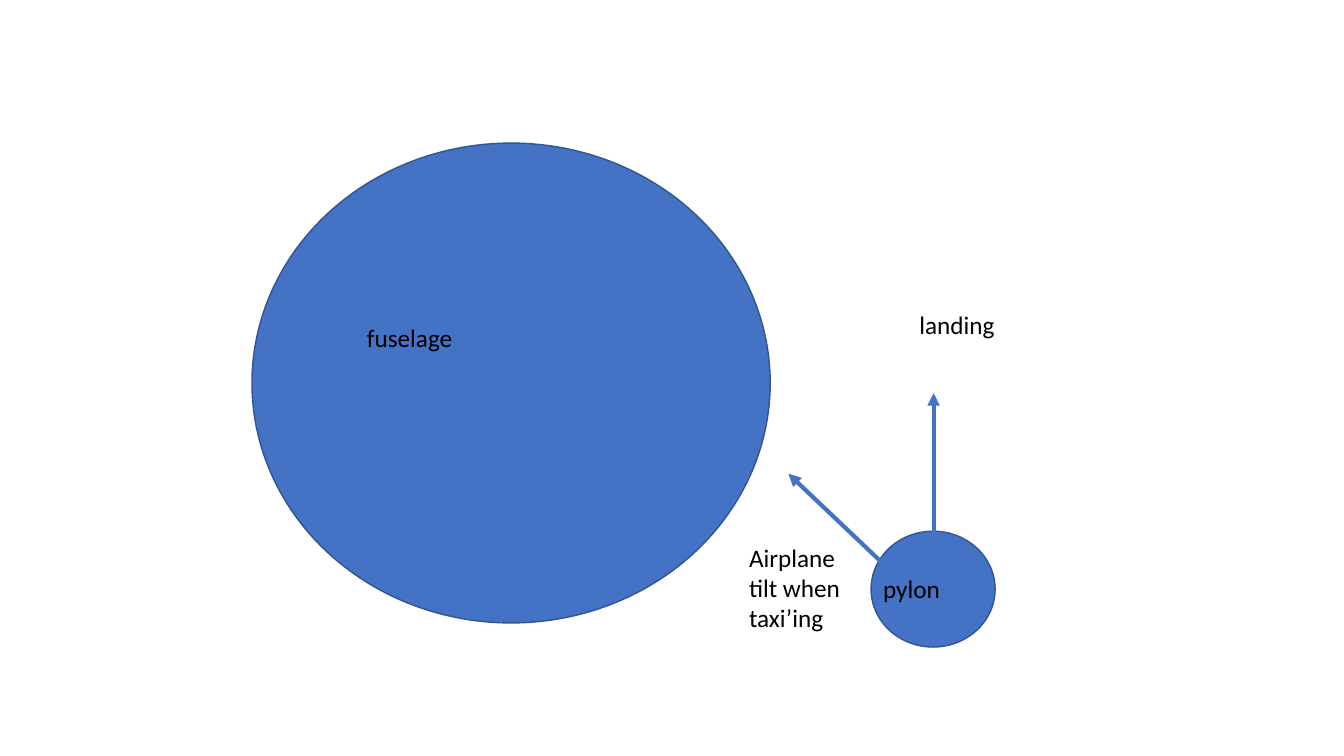
from lxml.etree import SubElement
from pptx import Presentation
from pptx.dml.color import RGBColor
from pptx.enum.shapes import MSO_CONNECTOR, MSO_SHAPE
from pptx.enum.text import MSO_AUTO_SIZE
from pptx.oxml.ns import qn
from pptx.util import Inches, Pt

BLUE, DARK_BLUE, BLACK = "4472C4", "325491", "000000"

presentation = Presentation()
presentation.slide_width = Inches(13.33)
presentation.slide_height = Inches(7.5)
slide = presentation.slides.add_slide(presentation.slide_layouts[6])
shapes = slide.shapes

# One column and one row are a hundredth of the slide's width and height.
column = presentation.slide_width / 100
row = presentation.slide_height / 100


def grid(*values):
    """Turn alternating columns and rows into lengths."""
    return [round(value * (row if index % 2 else column))
            for index, value in enumerate(values)]


def add_label(text, position, size=18, color=BLACK, font="Calibri", wrap=True):
    box = shapes.add_textbox(*grid(*position))
    frame = box.text_frame
    frame.word_wrap = wrap
    frame.auto_size = MSO_AUTO_SIZE.SHAPE_TO_FIT_TEXT
    run = frame.paragraphs[0].add_run()
    run.text = text
    run.font.name = font
    run.font.size = Pt(size)
    run.font.color.rgb = RGBColor.from_string(color)


fuselage = (18.75, 18.93, 38.56, 63.47)
pylon = (64.81, 70.27, 9.23, 15.33)
for position in (fuselage, pylon):
    ellipse = shapes.add_shape(MSO_SHAPE.OVAL, *grid(*position))
    ellipse.shadow.inherit = False
    ellipse.fill.solid()
    ellipse.fill.fore_color.rgb = RGBColor.from_string(BLUE)
    ellipse.line.color.rgb = RGBColor.from_string(DARK_BLUE)
    ellipse.line.width = Pt(1)

landing_arrow = (69.47, 79.87, 69.47, 52)
taxiing_arrow = (67.67, 77.87, 58.66, 62.67)
for ends in (landing_arrow, taxiing_arrow):
    arrow = shapes.add_connector(MSO_CONNECTOR.STRAIGHT, *grid(*ends))
    arrow.line.color.rgb = RGBColor.from_string(BLUE)
    arrow.line.width = Pt(3)
    SubElement(arrow.line._get_or_add_ln(), qn("a:tailEnd"), type="triangle")
    SubElement(arrow._element.spPr, qn("a:effectLst"))

add_label("landing", (67.67, 40.27, 7.2, 5.33), wrap=False)
add_label("Airplane tilt when taxi’ing", (54.99, 71.07, 9.98, 13.47))
add_label("fuselage", (26.56, 42, 9.98, 5.33))
add_label("pylon", (64.97, 75.2, 9.98, 5.33))

presentation.save("out.pptx")
